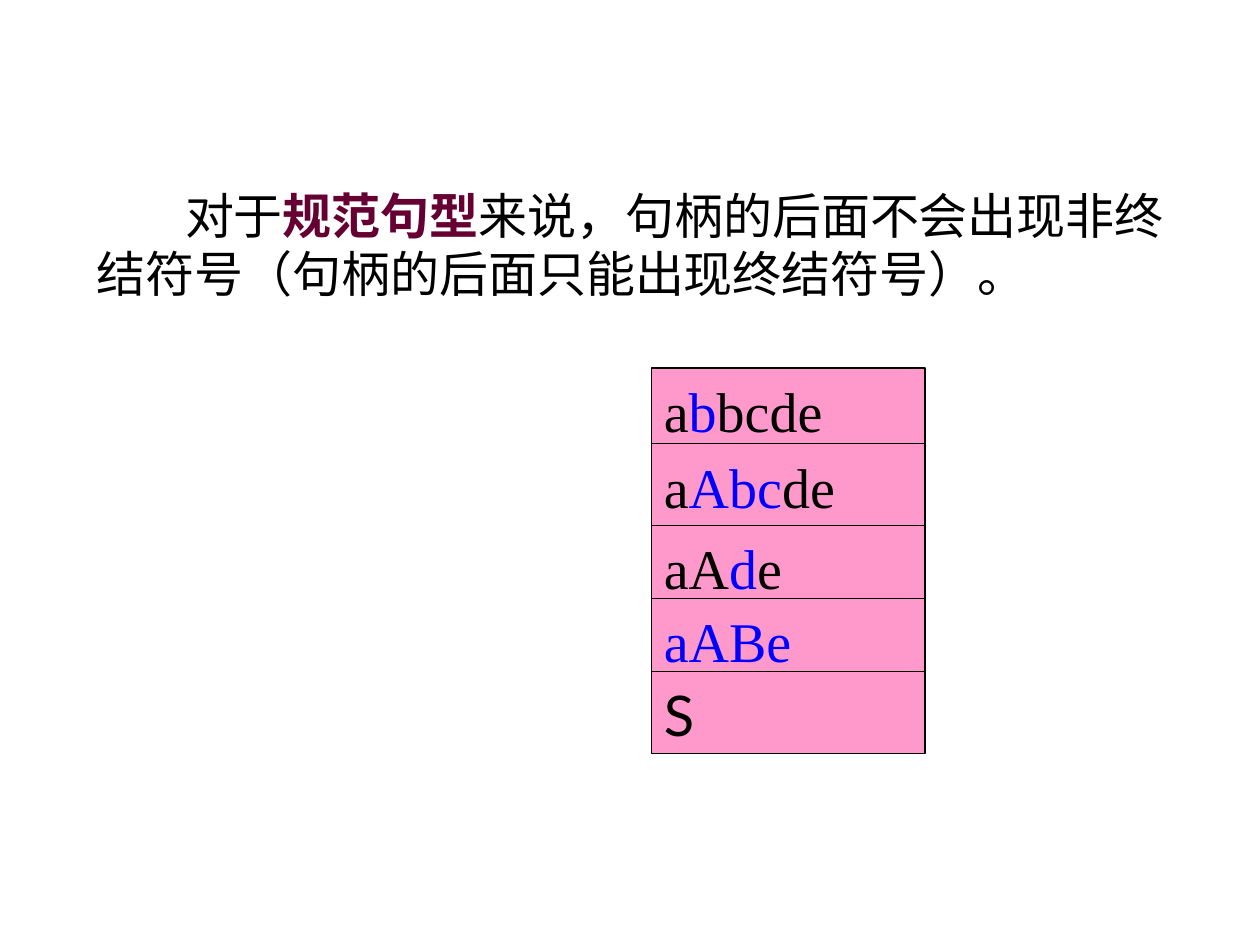
from pptx import Presentation
from pptx.dml.color import RGBColor as RGB
from pptx.enum.shapes import MSO_SHAPE as Shape
from pptx.enum.text import MSO_ANCHOR as Anchor, PP_ALIGN as Align
from pptx.util import Inches, Pt

# Content: each run is (text, style)
NOTE = [
    ("对于", "ink"),
    ("规范句型", "key"),
    ("来说，句柄的后面不会出现非终结符号（句柄的后面只能出现终结符号）。", "ink"),
]
# Stack of forms: (top, font, runs)
ROWS = [
    (2.92, "serif", [("a", "ink"), ("b", "mark"), ("bcde", "ink")]),
    (3.52, "serif", [("a", "ink"), ("Abc", "mark"), ("de", "ink")]),
    (4.17, "serif", [("aA", "ink"), ("d", "mark"), ("e", "ink")]),
    (4.75, "serif", [("aABe", "mark")]),
    (5.33, "sans", [("S", "ink")]),
]
LEFT, WIDTH, HEIGHT = 5.17, 2.17, 0.65

THEME = {
    "ink": RGB(0x00, 0x00, 0x00),
    "key": RGB(0x66, 0x00, 0x33),
    "mark": RGB(0x00, 0x00, 0xFF),
    "fill": RGB(0xFF, 0x99, 0xCC),
    "serif": "Times New Roman",
    "sans": "Lato",
    "note": Pt(28),
    "row": Pt(32),
}


def write(frame, runs, face, size):
    """Fill a frame with one left-aligned paragraph of styled runs."""
    frame.word_wrap = True
    para = frame.paragraphs[0]
    para.alignment = Align.LEFT
    para.font.name = THEME[face]
    para.font.size = THEME[size]
    for text, style in runs:
        run = para.add_run()
        run.text = text
        run.font.color.rgb = THEME[style]
        if style == "key":
            run.font.bold = True
    return para


deck = Presentation()
deck.slide_width, deck.slide_height = Inches(10), Inches(7.5)
slide = deck.slides.add_slide(deck.slide_layouts[6])

# Statement with a first-line indent
box = slide.shapes.add_textbox(Inches(0.67), Inches(1.42), Inches(8.75), Inches(1.03))
para = write(box.text_frame, NOTE, "serif", "note")
props = para._p.get_or_add_pPr()
props.set("marL", "0")
props.set("indent", str(Inches(0.7)))

# Stack of sentential forms
for top, face, runs in ROWS:
    cell = slide.shapes.add_shape(
        Shape.RECTANGLE, Inches(LEFT), Inches(top), Inches(WIDTH), Inches(HEIGHT))
    cell.shadow.inherit = False
    cell.fill.solid()
    cell.fill.fore_color.rgb = THEME["fill"]
    cell.line.color.rgb = THEME["ink"]
    cell.line.width = Pt(1)
    cell.text_frame.vertical_anchor = Anchor.BOTTOM
    write(cell.text_frame, runs, face, "row")

deck.save("out.pptx")
